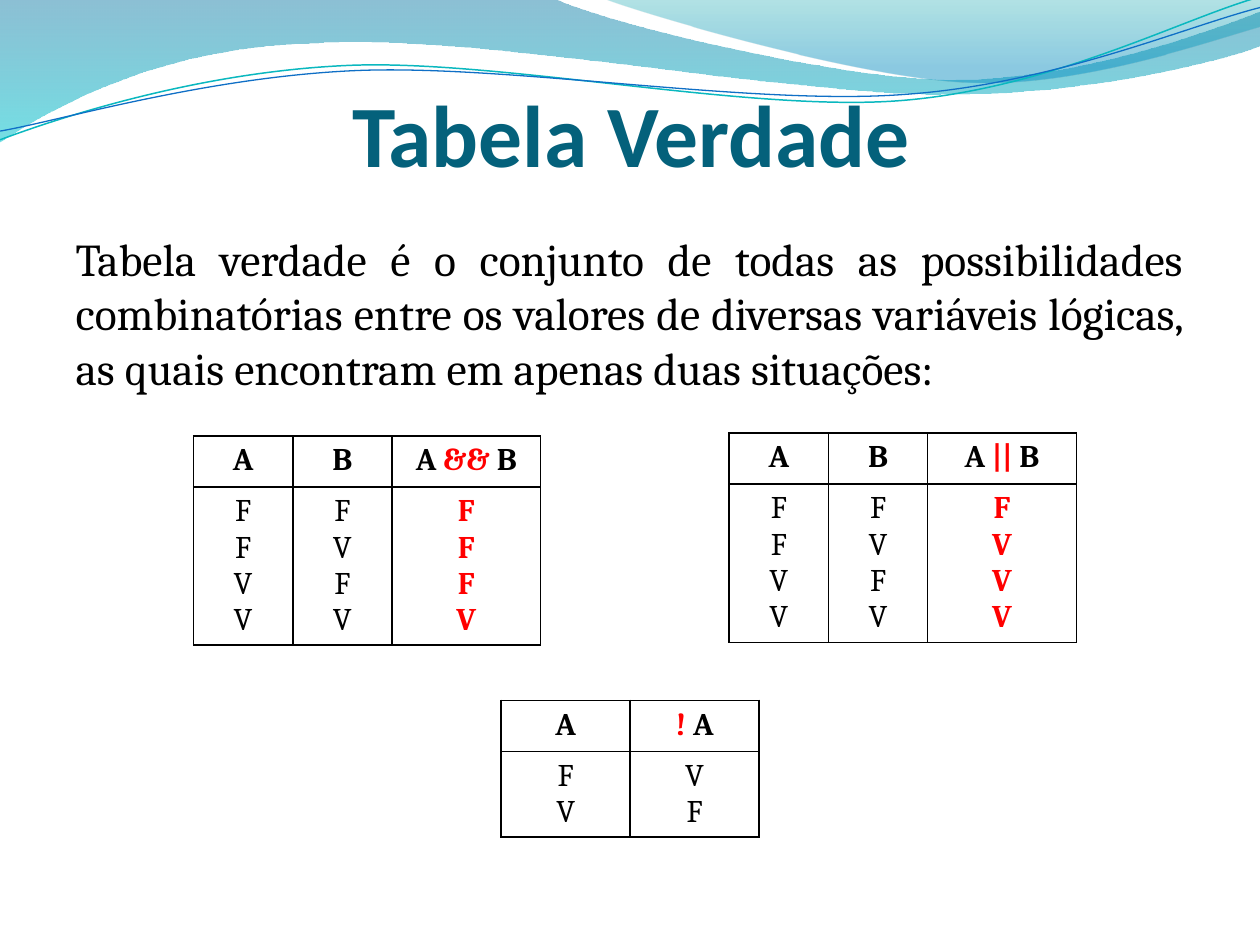
from lxml import etree
from pptx import Presentation
from pptx.dml.color import RGBColor
from pptx.enum import text
from pptx.oxml import ns, xmlchemy
from pptx.util import Pt

THEME = {
    "title": "04617B", "ink": "000000", "accent": "FF0000", "paper": "FFFFFF",
    "heading_font": "Calibri", "text_font": "Cambria",
    "title_size": 50, "body_size": 26, "table_size": 18,
}
TITLE = "Tabela Verdade"
BODY = ("Tabela verdade é o conjunto de todas as possibilidades combinatórias "
        "entre os valores de diversas variáveis lógicas, as quais encontram em "
        "apenas duas situações:")
TABLES = [
    {"at": (110.6, 249.1), "widths": (56.7, 56.7, 85),
     "heads": ("A", "B", "A && B"), "operator": "&&",
     "values": ("FFVV", "FVFV", "FFFV"), "marked": 2},
    {"at": (416.7, 247.4), "widths": (56.7, 56.7, 85),
     "heads": ("A", "B", "A || B"), "operator": "||",
     "values": ("FFVV", "FVFV", "FVVV"), "marked": 2},
    {"at": (286.4, 400.2), "widths": (73.7, 73.7),
     "heads": ("A", "! A"), "operator": "!",
     "values": ("FV", "VF"), "marked": None},
]
HEAD_HEIGHT, LINE_HEIGHT, CELL_MARGINS = 29.2, 20.8, 7.2

WAVES = [
    {"gradient": [(0, "0074A1", 45), (1, "00C6CF", 55)],
     "outline": [(0, -0.7), (316.8, -0.7),
                 (342.7, 12.2, 478, 45.4, 545.8, 45.4),
                 (614.2, 45.4, 689.8, 18.7, 720, 6.5), (720.7, 25.9),
                 (707.8, 31.7, 626.4, 54.7, 537.1, 54),
                 (447.8, 54, 275, 20.2, 185, 24.5),
                 (92.9, 25.9, 33.1, 59.8, -0.7, 81.4)]},
    {"gradient": [(0, "00A1A9", 30), (0.8, "008BBF", 45)],
     "outline": [(344.9, -0.7), (366.5, 7.9, 491, 44.6, 553.7, 46.8),
                 (616.3, 49.7, 691.9, 23, 720, 15.1), (720, 0)]},
    {"stroke": ("0AB8BF", 0.85),
     "outline": [(0, 79.9), (34.6, 67, 113.8, 41, 199.4, 37.4),
                 (284.4, 33.8, 427, 64.1, 513.4, 57.6),
                 (599.8, 51.1, 675.4, 10.8, 718.6, -1.4)]},
    {"stroke": ("0F6FC6", 0.75),
     "outline": [(0, 74.9), (33.8, 69.1, 118.1, 43.9, 203.8, 40.3),
                 (290.2, 36.7, 429.8, 60.5, 516.2, 54),
                 (601.9, 48.2, 677.5, 15.1, 720, 4.3)]},
]


def color(name):
    return RGBColor.from_string(THEME.get(name, name))


def style(font, size, ink="ink", face="text_font", bold=False):
    font.name, font.size, font.bold = THEME[face], Pt(THEME[size]), bold
    font.color.rgb = color(ink)


def bend(wave, outline):
    segments = list(wave._element.iter(ns.qn("a:lnTo")))
    for segment, step in zip(segments, outline[1:]):
        if len(step) == 2:
            continue
        segment.tag = ns.qn("a:cubicBezTo")
        controls = [etree.Element(ns.qn("a:pt"), x=str(Pt(x) - wave.left), y=str(Pt(y) - wave.top))
                    for x, y in (step[:2], step[2:4])]
        for i, control in enumerate(controls):
            segment.insert(i, control)


def add_wave(shapes, outline, gradient=None, stroke=None):
    anchors = [(Pt(step[-2]), Pt(step[-1])) for step in outline]
    builder = shapes.build_freeform(*anchors[0])
    builder.add_line_segments(anchors[1:], close=gradient is not None)
    wave = builder.convert_to_shape()
    bend(wave, outline)
    wave.shadow.inherit = False
    if stroke:
        wave.fill.background()
        wave.line.color.rgb, wave.line.width = color(stroke[0]), Pt(stroke[1])
        return
    wave.line.fill.background()
    wave.fill.gradient()
    wave.fill.gradient_angle = 270
    for stop, (position, tint, _) in zip(wave.fill.gradient_stops, gradient):
        stop.position, stop.color.rgb = position, color(tint)
    tints = wave._element.spPr.iter(ns.qn("a:srgbClr"))
    for tint, (_, _, opacity) in zip(tints, gradient):
        etree.SubElement(tint, ns.qn("a:alpha"), val=str(opacity * 1000))


def add_borders(cell):
    properties = cell._tc.get_or_add_tcPr()
    for side in "LRTB":
        border = etree.SubElement(properties, ns.qn(f"a:ln{side}"), w=str(Pt(1)))
        paint = etree.SubElement(border, ns.qn("a:solidFill"))
        etree.SubElement(paint, ns.qn("a:srgbClr"), val=THEME["ink"])


def fill_cell(cell, lines, operator=None, ink="ink", bold=False):
    add_borders(cell)
    cell.fill.solid()
    cell.fill.fore_color.rgb = color("paper")
    cell.text = "\n".join(lines)
    for paragraph in cell.text_frame.paragraphs:
        paragraph.alignment = text.PP_ALIGN.CENTER
        style(paragraph.font, "table_size", ink, bold=bold)
        if operator and operator in paragraph.text:
            before, after = paragraph.text.split(operator)
            paragraph.clear()
            for part in filter(None, (before, operator, after)):
                run = paragraph.add_run()
                run.text = part
                if part == operator:
                    run.font.color.rgb = color("accent")


def add_truth_table(shapes, at, widths, heads, operator, values, marked):
    heights = (HEAD_HEIGHT, len(values[0]) * LINE_HEIGHT + CELL_MARGINS)
    table = shapes.add_table(2, len(widths), *map(Pt, at),
                             Pt(sum(widths)), Pt(sum(heights))).table
    for row, height in zip(table.rows, heights):
        row.height = Pt(height)
    for i, (width, head, column) in enumerate(zip(widths, heads, values)):
        table.columns[i].width = Pt(width)
        fill_cell(table.cell(0, i), [head], operator, bold=True)
        result = i == marked
        fill_cell(table.cell(1, i), column, ink="accent" if result else "ink", bold=result)


def place(holder, left, top, width, height):
    holder.left, holder.top, holder.width, holder.height = map(Pt, (left, top, width, height))
    holder.text_frame.auto_size = text.MSO_AUTO_SIZE.NONE
    holder.text_frame.word_wrap = True


deck = Presentation()
deck.slide_width, deck.slide_height = Pt(720), Pt(540)
slide = deck.slides.add_slide(deck.slide_layouts[1])
title, body = slide.placeholders

for wave in WAVES:
    add_wave(slide.shapes, **wave)
for holder in (title, body):
    slide.shapes._spTree.append(holder._element)

place(title, 36.7, 37.4, 648, 68.4)
title.text = TITLE
frame = title.text_frame
frame.vertical_anchor = text.MSO_ANCHOR.BOTTOM
frame.margin_left = frame.margin_right = frame.margin_bottom = 0
frame.paragraphs[0].alignment = text.PP_ALIGN.CENTER
style(frame.paragraphs[0].font, "title_size", "title", "heading_font", True)

place(body, 36, 128.2, 648, 102.2)
body.text = BODY
statement = body.text_frame.paragraphs[0]
statement.alignment = text.PP_ALIGN.JUSTIFY
style(statement.font, "body_size")
layout = statement._p.get_or_add_pPr()
layout.set("marL", "0")
layout.set("indent", "0")
layout.insert_element_before(xmlchemy.OxmlElement("a:buNone"), "a:tabLst", "a:defRPr")

for truth_table in TABLES:
    add_truth_table(slide.shapes, **truth_table)

deck.save("out.pptx")
